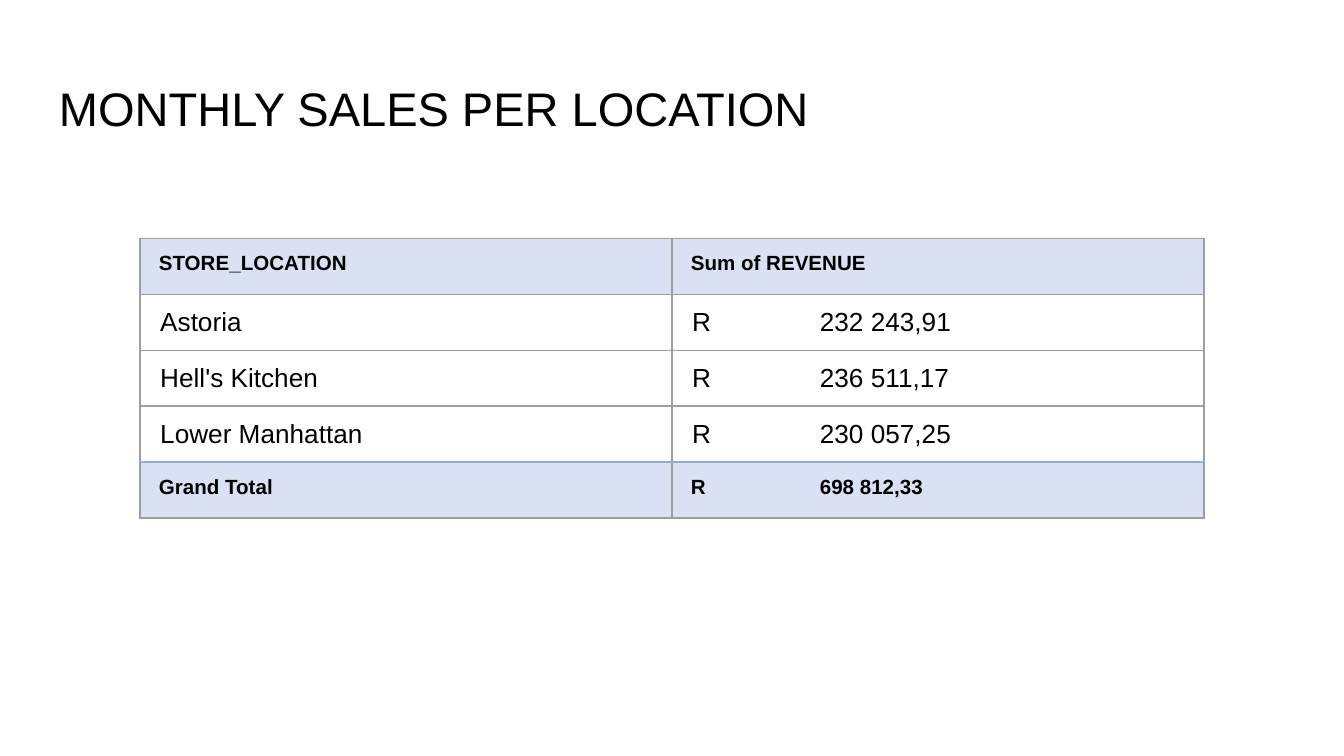
from lxml import etree
from pptx import Presentation
from pptx.dml.color import RGBColor
from pptx.enum.text import MSO_ANCHOR
from pptx.oxml.ns import qn
from pptx.util import Inches, Pt

MIDDLE, TOP = MSO_ANCHOR.MIDDLE, MSO_ANCHOR.TOP
BLANK_LAYOUT = 6

HEADER = ("STORE_LOCATION", "Sum of REVENUE")
STORES = [
    ("Astoria", "R\t232 243,91"),
    ("Hell's Kitchen", "R\t236 511,17"),
    ("Lower Manhattan", "R\t230 057,25"),
]
TOTAL = ("Grand Total", "R\t698 812,33")


def color(hex_code):
    return RGBColor.from_string(hex_code)


class SalesSlide:
    font = "Arial"
    text_color = "000000"
    band_color = "D9E1F2"
    grid_color = "9E9E9E"
    total_color = "8EA9DB"
    padding = 0.1
    amount_stop = 1.1  # inches from the left edge of the cell

    def __init__(self, presentation):
        self.width = presentation.slide_width
        self.height = presentation.slide_height
        layout = presentation.slide_layouts[BLANK_LAYOUT]
        self.slide = presentation.slides.add_slide(layout)

    def box(self, left, top, width, height):
        """Turn percentages of the slide's size into lengths."""
        return (int(left * self.width / 100), int(top * self.height / 100),
                int(width * self.width / 100), int(height * self.height / 100))

    def style(self, paragraph, size, bold=False):
        font = paragraph.font
        font.name, font.size, font.bold = self.font, Pt(size), bold
        font.color.rgb = color(self.text_color)

    def title(self, text, *shares):
        frame = self.slide.shapes.add_textbox(*self.box(*shares)).text_frame
        frame.word_wrap = True
        frame.vertical_anchor = MIDDLE
        frame.margin_left = frame.margin_right = Inches(self.padding)
        frame.margin_top = frame.margin_bottom = Inches(self.padding)
        frame.text = text
        self.style(frame.paragraphs[0], 25.2)

    def border(self, cell, side, hex_code):
        properties = cell._tc.get_or_add_tcPr()
        line = etree.SubElement(properties, qn(f"a:ln{side}"), w=str(Pt(0.75)))
        fill = etree.SubElement(line, qn("a:solidFill"))
        etree.SubElement(fill, qn("a:srgbClr"), val=hex_code)

    def tab_stop(self, paragraph, inches):
        properties = paragraph._p.get_or_add_pPr()
        stops = etree.SubElement(properties, qn("a:tabLst"))
        etree.SubElement(stops, qn("a:tab"), pos=str(Inches(inches)), algn="l")

    def cell(self, cell, text, band, top_color, bottom_color):
        indent = 0.14 if band else 0.15
        cell.margin_left = Inches(indent)
        cell.margin_right = cell.margin_top = Inches(self.padding)
        cell.margin_bottom = Inches(self.padding / 2)  # keeps the rows equal
        cell.vertical_anchor = TOP
        cell.text = text
        paragraph = cell.text_frame.paragraphs[0]
        if "\t" in text:
            self.tab_stop(paragraph, self.amount_stop - indent)
        self.style(paragraph, 11 if band else 14, band)
        # Borders come before the fill in the cell's properties
        sides = {"L": self.grid_color, "R": self.grid_color,
                 "T": top_color, "B": bottom_color}
        for side, hex_code in sides.items():
            self.border(cell, side, hex_code)
        if band:
            cell.fill.solid()
            cell.fill.fore_color.rgb = color(self.band_color)
        else:
            cell.fill.background()

    def table(self, rows, *shares):
        table = self.slide.shapes.add_table(
            len(rows), len(rows[0]), *self.box(*shares)).table
        table.first_row = table.horz_banding = False
        last = len(rows) - 1
        for row, texts in enumerate(rows):
            top_color = self.total_color if row == last else self.grid_color
            bottom_color = self.total_color if row == last - 1 else self.grid_color
            for column, text in enumerate(texts):
                self.cell(table.cell(row, column), text, row in (0, last),
                          top_color, bottom_color)


def main():
    presentation = Presentation()
    presentation.slide_width = Inches(10)
    presentation.slide_height = Inches(10 * 9 / 16)
    slide = SalesSlide(presentation)

    # Heading
    slide.title("MONTHLY SALES PER LOCATION", 3.41, 8.65, 93.18, 11.13)

    # Revenue by store, with the total in the last row
    slide.table([HEADER, *STORES, TOTAL], 10.42, 31.5, 79.17, 37.04)

    presentation.save("out.pptx")


if __name__ == "__main__":
    main()
